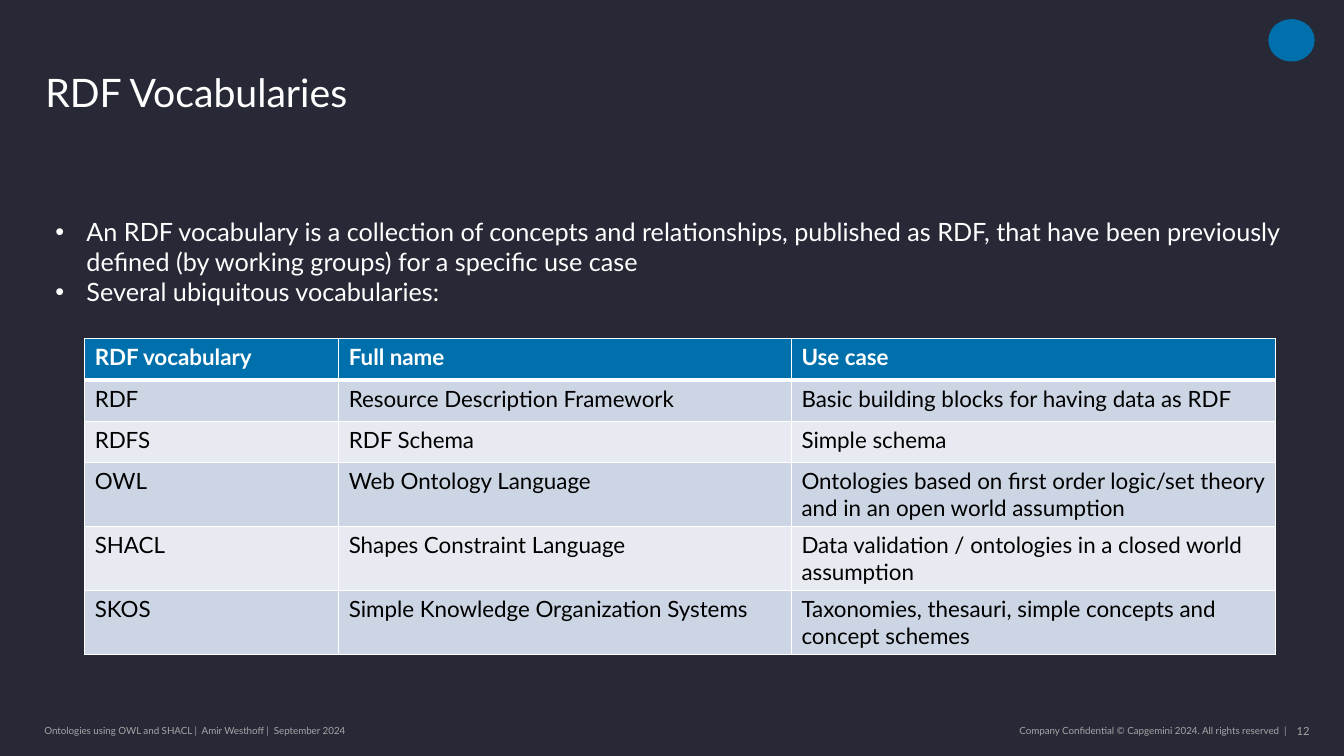
import pptx
import pptx.util
import pptx.dml.color
import pptx.enum.shapes
import pptx.enum.text
import pptx.oxml
import pptx.oxml.ns

Inches, Pt = pptx.util.Inches, pptx.util.Pt
ALIGN, ANCHOR = pptx.enum.text.PP_ALIGN, pptx.enum.text.MSO_ANCHOR

# Content
TITLE = "RDF Vocabularies"
POINTS = [
    "An RDF vocabulary is a collection of concepts and relationships, published as RDF, "
    "that have been previously defined (by working groups) for a specific use case",
    "Several ubiquitous vocabularies:",
]
VOCABULARIES = [
    ("RDF vocabulary", "Full name", "Use case"),
    ("RDF", "Resource Description Framework", "Basic building blocks for having data as RDF"),
    ("RDFS", "RDF Schema", "Simple schema"),
    ("OWL", "Web Ontology Language",
     "Ontologies based on first order logic/set theory and in an open world assumption"),
    ("SHACL", "Shapes Constraint Language", "Data validation / ontologies in a closed world assumption"),
    ("SKOS", "Simple Knowledge Organization Systems",
     "Taxonomies, thesauri, simple concepts and concept schemes"),
]
# text, left, width, size, alignment
FOOTERS = [
    ("Ontologies using OWL and SHACL |  Amir Westhoff |  September 2024", 0.44, 3.73, 7, ALIGN.LEFT),
    ("Company Confidential © Capgemini 2024. All rights reserved  |", 7.8, 4.96, 7, ALIGN.RIGHT),
    ("12", 12.74, 0.25, 8, ALIGN.RIGHT),
]

# Look
FONT = "Lato"
NAVY, BLUE, WHITE, BLACK, GREY = "272936", "0070AD", "FFFFFF", "000000", "A6A6A6"
BANDS = ("CCD5E3", "E7EBF1")
COLUMN_WIDTHS = (2.52, 4.49, 4.8)
ROW_HEIGHT = 0.41


def paint(fill, color):
    fill.solid()
    fill.fore_color.rgb = pptx.dml.color.RGBColor.from_string(color)


def write(frame, *lines, size, color=WHITE, bold=False, align=None, anchor=None,
          inset=None, spacing=None, bullet=False):
    frame.word_wrap = True
    if anchor is not None:
        frame.vertical_anchor = anchor
    if inset is not None:
        frame.margin_left = frame.margin_right = Inches(inset[0])
        frame.margin_top = frame.margin_bottom = Inches(inset[1])
    for index, line in enumerate(lines):
        paragraph = frame.add_paragraph() if index else frame.paragraphs[0]
        if bullet:
            properties = paragraph._p.get_or_add_pPr()
            properties.set("marL", str(Inches(0.31)))
            properties.set("indent", str(Inches(-0.31)))
            for tag, key, value in (("buFont", "typeface", "Arial"), ("buChar", "char", "•")):
                element = pptx.oxml.ns.qn("a:" + tag)
                properties.append(properties.makeelement(element, {key: value}))
        if align is not None:
            paragraph.alignment = align
        if spacing is not None:
            paragraph.line_spacing = spacing
        run = paragraph.add_run()
        run.text = line
        run.font.name, run.font.size, run.font.bold = FONT, Pt(size), bold
        paint(run.font.fill, color)


def border(cell, **widths):
    properties = cell._tc.get_or_add_tcPr()
    for position, side in enumerate("LRTB"):
        line = pptx.oxml.parse_xml(
            f'<a:ln{side} {pptx.oxml.ns.nsdecls("a")} w="{Pt(widths.get(side, 1))}">'
            f'<a:solidFill><a:srgbClr val="{WHITE}"/></a:solidFill></a:ln{side}>')
        properties.insert(position, line)


def place(shape, left, top, width, height):
    shape.left, shape.top = Inches(left), Inches(top)
    shape.width, shape.height = Inches(width), Inches(height)


deck = pptx.Presentation()
deck.slide_width, deck.slide_height = Inches(13.33), Inches(7.5)
slide = deck.slides.add_slide(deck.slide_layouts[5])
paint(slide.background.fill, NAVY)

# Corner emblem
emblem = slide.shapes.add_shape(pptx.enum.shapes.MSO_SHAPE.OVAL,
                                Inches(12.58), Inches(0.19), Inches(0.46), Inches(0.42))
emblem.shadow.inherit = False
paint(emblem.fill, BLUE)
emblem.line.fill.background()

# Footer line
for text, left, width, size, align in FOOTERS:
    footer = slide.shapes.add_textbox(Inches(left), Inches(7.13), Inches(width), Inches(0.24))
    write(footer.text_frame, text, size=size, color=GREY, align=align,
          anchor=ANCHOR.MIDDLE, inset=(0, 0))

# Title
title = slide.shapes.title
place(title, 0.45, 0.28, 12.04, 0.87)
write(title.text_frame, TITLE, size=28, align=ALIGN.LEFT, anchor=ANCHOR.BOTTOM,
      inset=(0, 0), spacing=0.9)

# Bullet points
points = slide.shapes.add_textbox(Inches(0.45), Inches(2.09), Inches(12.43), Inches(1.01))
write(points.text_frame, *POINTS, size=18, anchor=ANCHOR.MIDDLE, bullet=True)

# Vocabulary table
table = slide.shapes.add_table(
    len(VOCABULARIES), len(COLUMN_WIDTHS), Inches(0.84), Inches(3.36),
    Inches(sum(COLUMN_WIDTHS)), Inches(ROW_HEIGHT * len(VOCABULARIES))).table
for column, width in zip(table.columns, COLUMN_WIDTHS):
    column.width = Inches(width)
for r, entries in enumerate(VOCABULARIES):
    header = r == 0
    table.rows[r].height = Inches(ROW_HEIGHT)
    for c, entry in enumerate(entries):
        cell = table.cell(r, c)
        write(cell.text_frame, entry, size=16, color=WHITE if header else BLACK, bold=header)
        paint(cell.fill, BLUE if header else BANDS[(r - 1) % 2])
        border(cell, T=3 if r == 1 else 1, B=3 if header else 1)

deck.save("out.pptx")
